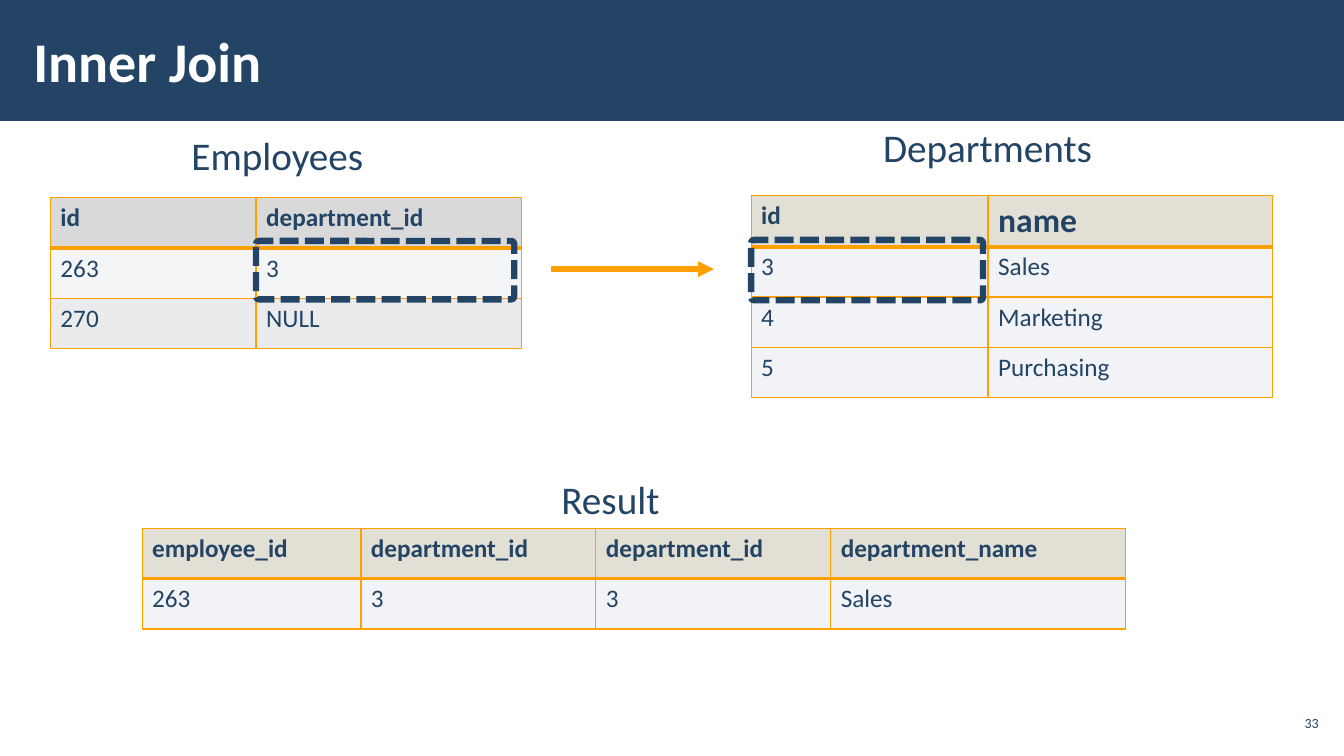
from lxml import etree
from pptx import Presentation
from pptx.dml.color import RGBColor
from pptx.enum.dml import MSO_LINE
from pptx.enum.shapes import MSO_CONNECTOR, MSO_SHAPE
from pptx.enum.text import MSO_ANCHOR, PP_ALIGN
from pptx.oxml.ns import qn
from pptx.util import Inches, Pt

RECT, ROUNDED = MSO_SHAPE.RECTANGLE, MSO_SHAPE.ROUNDED_RECTANGLE
STRAIGHT = MSO_CONNECTOR.STRAIGHT
MIDDLE, TOP = MSO_ANCHOR.MIDDLE, MSO_ANCHOR.TOP
LEFT, RIGHT = PP_ALIGN.LEFT, PP_ALIGN.RIGHT
DASH = MSO_LINE.SQUARE_DOT

NAVY, ORANGE, WHITE, GREY = "234465", "FFA000", "FFFFFF", "D9D9D9"
SAND, MIST = ("C6C0AA", 50), ("C2C7D2", 20)  # colour, opacity in percent
FONT = "Calibri"
UNIT = 0.5  # grid step in inches; one table row is one step
WIDTH, HEIGHT = 26.66, 15


def grid(steps):
    return Inches(steps * UNIT)


def box(left, top, width, height):
    return [grid(steps) for steps in (left, top, width, height)]


def color(hex_string):
    return RGBColor.from_string(hex_string)


def write(frame, text, size=18, ink=NAVY, bold=False, align=LEFT,
          anchor=TOP, wrap=True, inset=(0.1, 0.05)):
    frame.word_wrap = wrap
    frame.vertical_anchor = anchor
    frame.margin_left = frame.margin_right = Inches(inset[0])
    frame.margin_top = frame.margin_bottom = Inches(inset[1])
    paragraph = frame.paragraphs[0]
    paragraph.alignment = align
    run = paragraph.add_run()
    run.text = text
    run.font.name, run.font.size, run.font.bold = FONT, Pt(size), bold
    run.font.color.rgb = color(ink)


def add_text(slide, text, place, **text_format):
    write(slide.shapes.add_textbox(*box(*place)).text_frame, text, **text_format)


def add_title(slide, text):
    bar = slide.shapes.add_shape(RECT, *box(0, 0, WIDTH, 2.4))
    bar.shadow.inherit = False
    bar.fill.solid()
    bar.fill.fore_color.rgb = color(NAVY)
    bar.line.fill.background()
    slide.shapes._spTree.insert(2, bar._element)  # behind the title
    title = slide.shapes.title
    title.left, title.top, title.width, title.height = box(0.42, 0.22, 20.78, 1.94)
    write(title.text_frame, text, size=40, ink=WHITE, bold=True,
          anchor=MIDDLE, inset=(0.12, 0.04))


def set_borders(cell, top, bottom):
    properties = cell._tc.get_or_add_tcPr()
    for side, points in (("L", 1), ("R", 1), ("T", top), ("B", bottom)):
        border = etree.SubElement(properties, qn(f"a:ln{side}"), w=str(Pt(points)))
        fill = etree.SubElement(border, qn("a:solidFill"))
        etree.SubElement(fill, qn("a:srgbClr"), val=ORANGE)


def fill_cell(cell, hex_string, opacity=100):
    cell.fill.solid()
    cell.fill.fore_color.rgb = color(hex_string)
    if opacity < 100:
        tint = cell._tc.tcPr.find(f"{qn('a:solidFill')}/{qn('a:srgbClr')}")
        etree.SubElement(tint, qn("a:alpha"), val=str(opacity * 1000))


def add_data_table(slide, left, top, columns, rows, fills, header_sizes=None):
    """Fills hold one (colour, opacity) pair for each row."""
    place = box(left, top, sum(columns), len(rows))
    table = slide.shapes.add_table(len(rows), len(columns), *place).table
    table.first_row = table.horz_banding = False
    for column, width in zip(table.columns, columns):
        column.width = grid(width)
    sizes = header_sizes or [18] * len(columns)
    for r, values in enumerate(rows):
        table.rows[r].height = grid(1)
        for c, value in enumerate(values):
            cell = table.cell(r, c)
            set_borders(cell, top=3 if r == 1 else 1, bottom=3 if r == 0 else 1)
            fill_cell(cell, *fills[r])
            write(cell.text_frame, value, size=sizes[c] if r == 0 else 18,
                  bold=r == 0)


def add_highlight(slide, *place):
    frame = slide.shapes.add_shape(ROUNDED, *box(*place))
    frame.shadow.inherit = False
    frame.adjustments[0] = 0.05
    frame.fill.background()
    frame.line.color.rgb = color(NAVY)
    frame.line.width = Pt(4.5)
    frame.line.dash_style = DASH


def add_arrow(slide, start, end, row):
    arrow = slide.shapes.add_connector(STRAIGHT, grid(start), grid(row),
                                       grid(end), grid(row))
    arrow.line.color.rgb = color(ORANGE)
    arrow.line.width = Pt(3.75)
    etree.SubElement(arrow.line._get_or_add_ln(), qn("a:tailEnd"), type="triangle")
    etree.SubElement(arrow._element.spPr, qn("a:effectLst"))


def main():
    prs = Presentation()
    prs.slide_width, prs.slide_height = grid(WIDTH), grid(HEIGHT)
    slide = prs.slides.add_slide(prs.slide_layouts[5])
    add_title(slide, "Inner Join")

    # Source tables and the matching key
    add_data_table(slide, 1, 3.92, [4.08, 5.26],
                   [["id", "department_id"], ["263", "3"], ["270", "NULL"]],
                   [(GREY,), ("F4F5F7",), ("EBEBEE",)])
    add_arrow(slide, 10.94, 14.16, 5.34)
    add_data_table(slide, 14.9, 3.88, [4.7, 5.64],
                   [["id", "name"], ["3", "Sales"], ["4", "Marketing"],
                    ["5", "Purchasing"]],
                   [SAND, MIST, MIST, MIST], header_sizes=[18, 24])

    # Joined rows
    add_data_table(slide, 2.82, 10.48, [4.34, 4.66, 4.66, 5.84],
                   [["employee_id", "department_id", "department_id",
                     "department_name"], ["263", "3", "3", "Sales"]],
                   [SAND, MIST])

    # Table captions
    for caption, left, top, width in (("Employees", 3.6, 2.5, 3.84),
                                      ("Departments", 17.32, 2.34, 4.6),
                                      ("Result", 10.94, 9.34, 2.38)):
        add_text(slide, caption, (left, top, width, 1.14), size=28, wrap=False)

    # Matched cells
    add_highlight(slide, 5.08, 4.78, 5.12, 1.16)
    add_highlight(slide, 14.9, 4.76, 4.6, 1.2)

    # Slide number
    add_text(slide, "33", (25.3, 14, 0.94, 0.68), size=10, align=RIGHT,
             anchor=MIDDLE, inset=(0.04, 0.04))
    prs.save("out.pptx")


if __name__ == "__main__":
    main()
